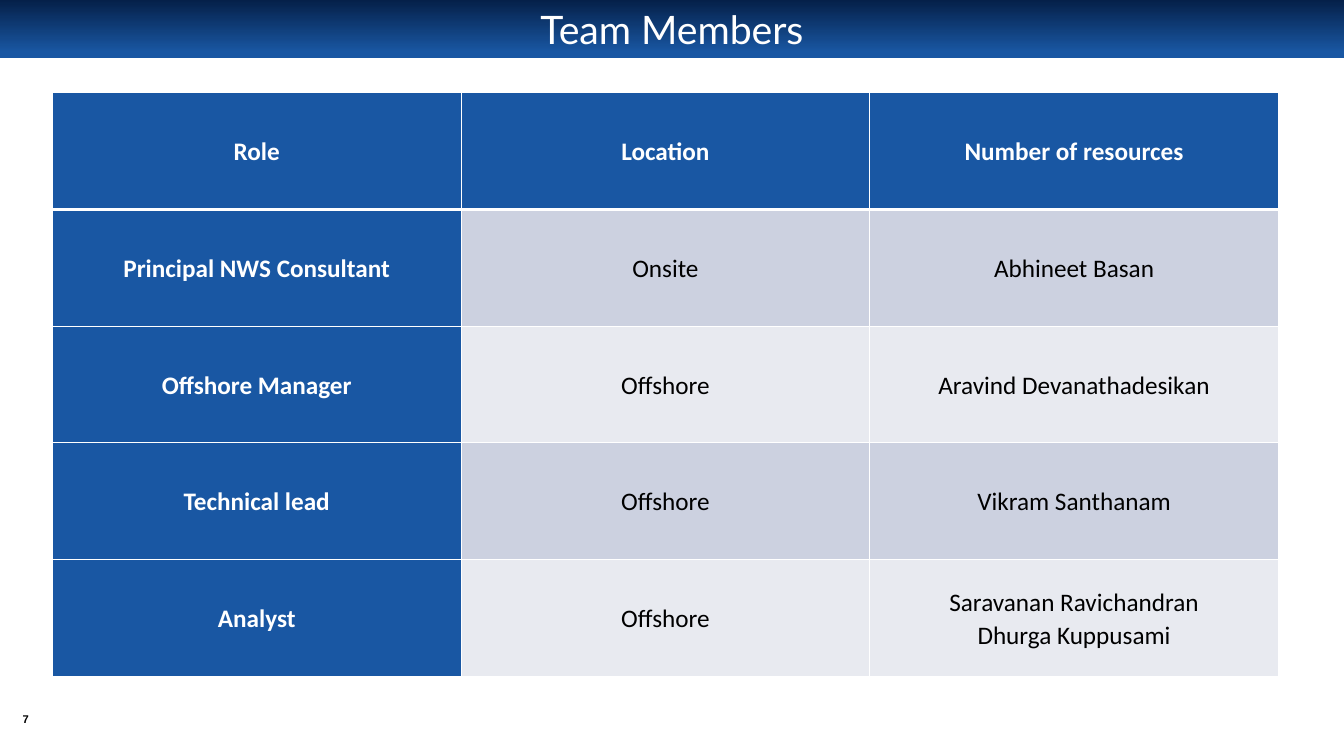
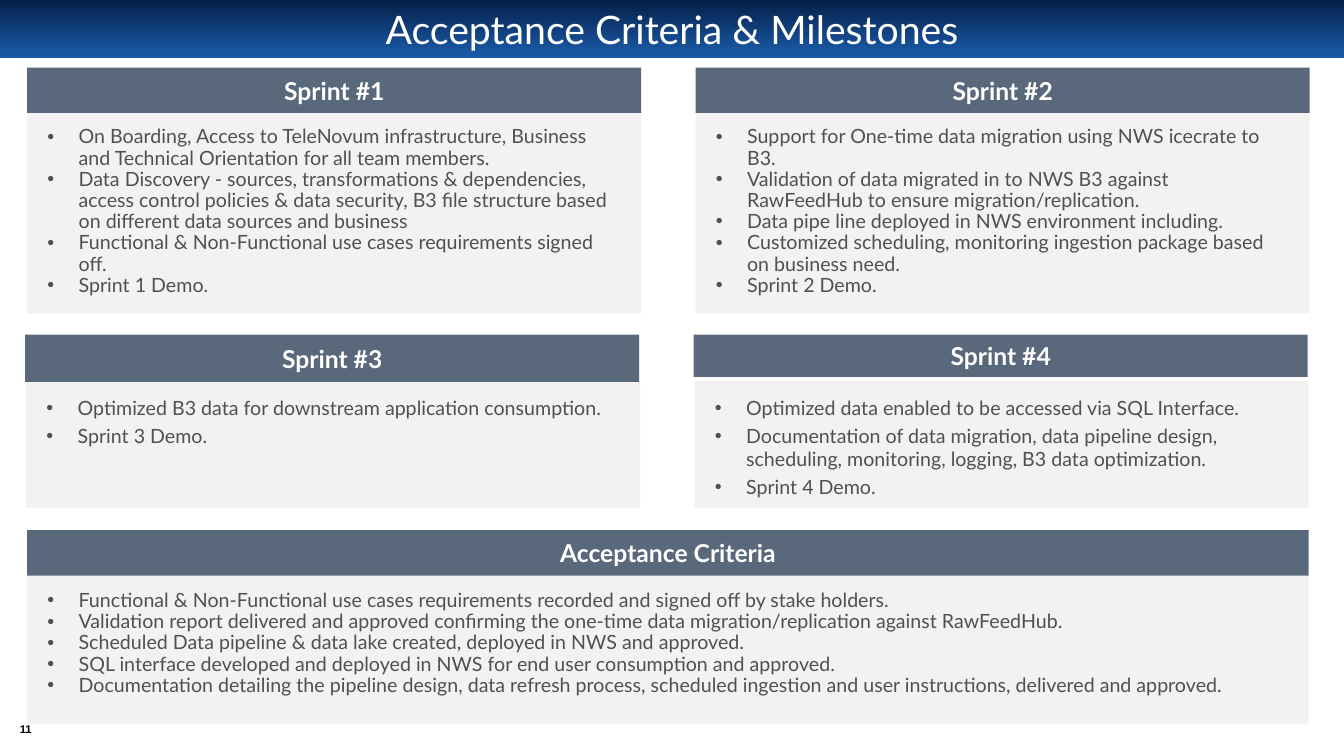
import pptx
import pptx.util
import pptx.dml.color
import pptx.enum.shapes
import pptx.enum.text
import pptx.oxml.ns
from lxml import etree

NAVY, BLUE, SLATE, PALE = "052049", "1957A3", "44546A", "F2F2F2"
WHITE, BLACK, GREY = "FFFFFF", "000000", "505050"
STRIPES = ["CCD1E0", "E8EAF0"]
WIDTH, HEIGHT = 13.33, 7.5
BAND_HEIGHT = 0.58
HEADING_INSETS = (0.2, 0.1, 0.2, 0.1)
BODY_INSETS = (0.2, 0.15, 0.2, 0.1)
CELL_INSETS = (0.07, 0, 0.07, 0)
CENTER = pptx.enum.text.PP_ALIGN.CENTER
LEFT = pptx.enum.text.PP_ALIGN.LEFT
MIDDLE = pptx.enum.text.MSO_ANCHOR.MIDDLE
TOP = pptx.enum.text.MSO_ANCHOR.TOP

TEAM = [
    ["Role", "Location", "Number of resources"],
    ["Principal NWS Consultant", "Onsite", "Abhineet Basan"],
    ["Offshore Manager", "Offshore", "Aravind Devanathadesikan"],
    ["Technical lead", "Offshore", "Vikram Santhanam"],
    ["Analyst", "Offshore", ["Saravanan Ravichandran", "Dhurga Kuppusami"]],
]
TEAM_AREA = (0.52, 0.92, 12.16, 5.79)

NEAR, FAR, HALF, FULL = 0.27, 6.9, 6.09, 12.71
TIGHT = {"line_spacing": 0.9}
LOOSE = {"space_before": 3}
ROWS = {
    "upper": {"top": 0.67, "body": 1.11, "bottom": 3.11, "shift": 0, "spacing": TIGHT},
    "middle": {"top": 3.32, "body": 3.78, "bottom": 5.04, "shift": -0.01, "spacing": LOOSE},
    "lower": {"top": 5.26, "body": 5.71, "bottom": 7.18, "shift": 0, "spacing": TIGHT},
}
PANELS = [
    ("Sprint #1", "upper", NEAR, HALF, 0.45, [
        "On Boarding, Access to TeleNovum infrastructure, Business and Technical Orientation for all team members.",
        "Data Discovery - sources, transformations & dependencies, access control policies & data security, B3 file structure based on different data sources and business",
        "Functional & Non-Functional use cases requirements signed off.",
        "Sprint 1 Demo.",
    ]),
    ("Sprint #2", "upper", FAR, HALF, 0.45, [
        "Support for One-time data migration using NWS icecrate to B3.",
        "Validation of data migrated in to NWS B3 against RawFeedHub to ensure migration/replication.",
        "Data pipe line deployed in NWS environment including.",
        "Customized scheduling, monitoring ingestion package based on business need.",
        "Sprint 2 Demo.",
    ]),
    ("Sprint #3", "middle", NEAR, HALF, 0.47, [
        "Optimized B3 data for downstream application consumption.",
        "Sprint 3 Demo.",
    ]),
    ("Sprint #4", "middle", FAR, HALF, 0.42, [
        "Optimized data enabled to be accessed via SQL Interface.",
        "Documentation of data migration, data pipeline design, scheduling, monitoring, logging, B3 data optimization.",
        "Sprint 4 Demo.",
    ]),
    ("Acceptance Criteria", "lower", NEAR, FULL, 0.45, [
        "Functional & Non-Functional use cases requirements recorded and signed off by stake holders.",
        "Validation report delivered and approved confirming the one-time data migration/replication against RawFeedHub.",
        "Scheduled Data pipeline & data lake created, deployed in NWS and approved.",
        "SQL interface developed and deployed in NWS for end user consumption and approved.",
        "Documentation detailing the pipeline design, data refresh process, scheduled ingestion and user instructions, delivered and approved.",
    ]),
]


def color(value):
    return pptx.dml.color.RGBColor.from_string(value)


def inches(*values):
    return [pptx.util.Inches(value) for value in values]


def add_element(parent, tag, **attributes):
    return etree.SubElement(parent, pptx.oxml.ns.qn(tag), attributes)


def write(frame, text, *, size, font="Lato", ink=WHITE, bold=False, align=CENTER,
          bullet=False, line_spacing=None, space_before=0):
    lines = [text] if isinstance(text, str) else text
    for index, line in enumerate(lines):
        para = frame.add_paragraph() if index else frame.paragraphs[0]
        if bullet:
            properties = para._p.get_or_add_pPr()
            indent = pptx.util.Inches(0.31)
            properties.set("marL", str(indent))
            properties.set("indent", str(-indent))
            add_element(properties, "a:buFont", typeface="Arial")
            add_element(properties, "a:buChar", char="•")
        para.alignment = align
        if line_spacing:
            para.line_spacing = line_spacing
        if index and space_before:
            para.space_before = pptx.util.Pt(space_before)
        span = para.add_run()
        span.text = line
        span.font.name = font
        span.font.size = pptx.util.Pt(size)
        span.font.bold = bold
        span.font.color.rgb = color(ink)


def set_insets(target, insets):
    (target.margin_left, target.margin_top,
     target.margin_right, target.margin_bottom) = inches(*insets)


def add_block(page, area, insets=HEADING_INSETS, anchor=MIDDLE):
    block = page.shapes.add_shape(
        pptx.enum.shapes.MSO_SHAPE.RECTANGLE, *inches(*area))
    block.shadow.inherit = False
    block.line.fill.background()
    block.text_frame.word_wrap = True
    block.text_frame.vertical_anchor = anchor
    set_insets(block.text_frame, insets)
    return block


def add_page(deck, title, number, number_top):
    page = deck.slides.add_slide(deck.slide_layouts[6])
    band = add_block(page, (0, 0, WIDTH, BAND_HEIGHT), (0.1, 0.05, 0.1, 0.05))
    band.fill.gradient()
    band.fill.gradient_angle = 270
    for stop, position, shade in zip(band.fill.gradient_stops, (0, 0.9), (NAVY, BLUE)):
        stop.position = position
        stop.color.rgb = color(shade)
    write(band.text_frame, title, size=28)
    box = page.shapes.add_textbox(*inches(0.13, number_top, 0.25, 0.19))
    box.text_frame.word_wrap = False
    box.text_frame.vertical_anchor = MIDDLE
    set_insets(box.text_frame, (0, 0, 0, 0))
    write(box.text_frame, number, size=8, font="Arial", ink=BLACK, bold=True)
    return page


def add_borders(cell, widths):
    properties = cell._tc.get_or_add_tcPr()
    for side, width in widths.items():
        edge = add_element(properties, "a:ln" + side, w=str(pptx.util.Pt(width)))
        add_element(add_element(edge, "a:solidFill"), "a:srgbClr", val=WHITE)


def add_team_table(page):
    table = page.shapes.add_table(len(TEAM), len(TEAM[0]), *inches(*TEAM_AREA)).table
    table.horz_banding = False
    for row, entries in enumerate(TEAM):
        for column, entry in enumerate(entries):
            cell = table.cell(row, column)
            label = row == 0 or column == 0
            add_borders(cell, {"L": 1, "R": 1, "T": 3 if row == 1 else 1,
                               "B": 3 if row == 0 else 1})
            cell.fill.solid()
            cell.fill.fore_color.rgb = color(BLUE if label else STRIPES[(row - 1) % 2])
            cell.vertical_anchor = MIDDLE
            set_insets(cell, CELL_INSETS)
            write(cell.text_frame, entry, size=18, font="Calibri", bold=label,
                  ink=WHITE if label else BLACK, line_spacing=1.07)


def add_panel(page, title, row_name, left, width, heading_height, points):
    row = ROWS[row_name]
    left += row["shift"]
    body = add_block(page, (left, row["body"], width, row["bottom"] - row["body"]),
                     BODY_INSETS, TOP)
    body.fill.solid()
    body.fill.fore_color.rgb = color(PALE)
    write(body.text_frame, points, size=14, ink=GREY, align=LEFT, bullet=True,
          **row["spacing"])
    heading = add_block(page, (left + row["shift"], row["top"], width, heading_height))
    heading.fill.solid()
    heading.fill.fore_color.rgb = color(SLATE)
    tint = heading._element.spPr.find(
        pptx.oxml.ns.qn("a:solidFill")).find(pptx.oxml.ns.qn("a:srgbClr"))
    add_element(tint, "a:alpha", val="88000")
    write(heading.text_frame, title, size=17.6, bold=True)


def main():
    deck = pptx.Presentation()
    deck.slide_width, deck.slide_height = inches(WIDTH, HEIGHT)
    add_team_table(add_page(deck, "Team Members", "7", 7.04))
    milestones = add_page(deck, "Acceptance Criteria & Milestones", "11", 7.14)
    for panel in PANELS:
        add_panel(milestones, *panel)
    deck.save("out.pptx")


if __name__ == "__main__":
    main()
